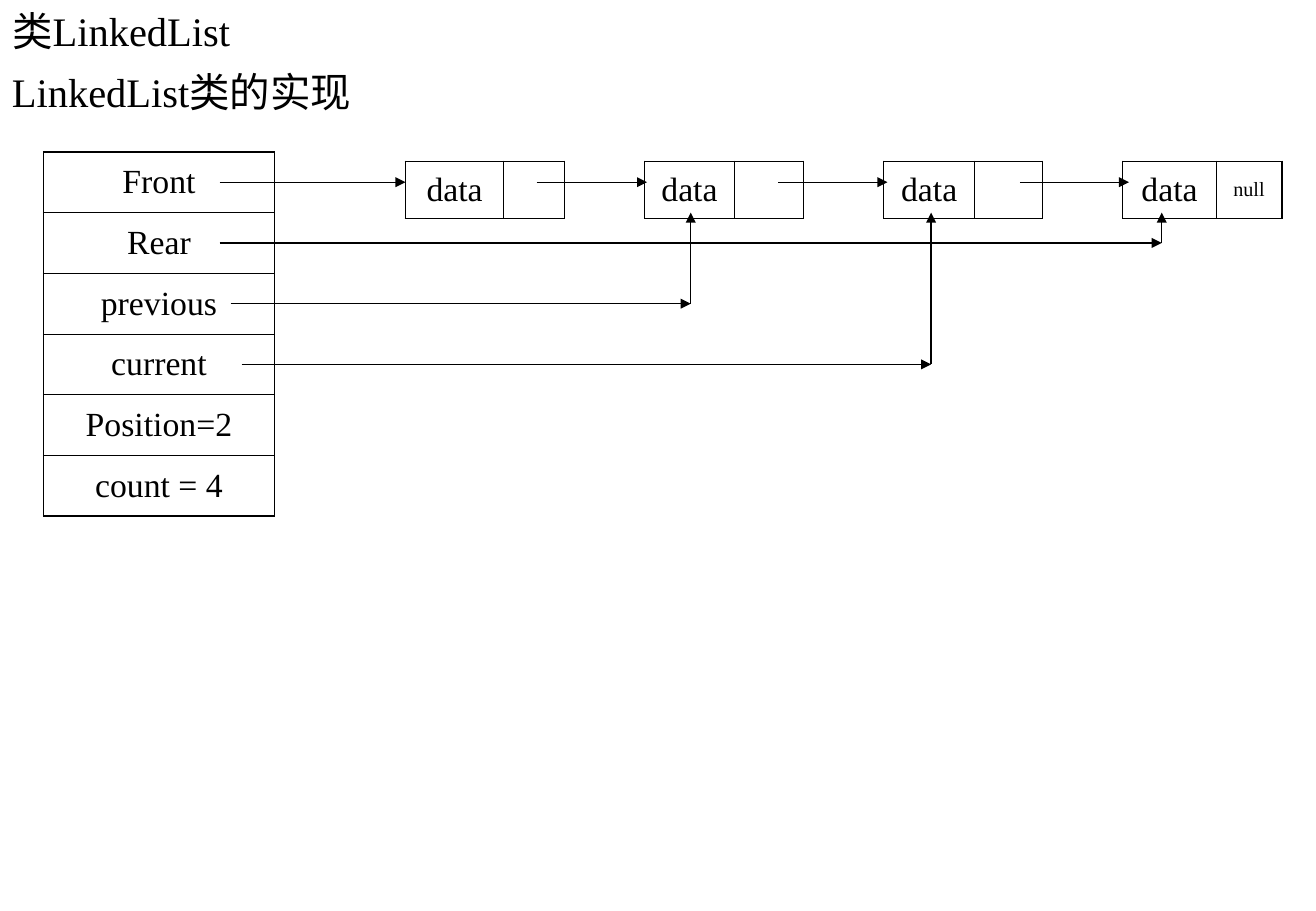
from dataclasses import dataclass

from lxml import etree
from pptx import Presentation
from pptx.dml.color import RGBColor
from pptx.enum import shapes, text
from pptx.oxml import ns
from pptx.util import Inches, Pt

FONT = "Times New Roman"
COLORS = {"ink": "000000"}
THICK, THIN, NONE = 1.08, 0.45, 0.0


@dataclass(frozen=True)
class Arrow:
    x1: float
    y1: float
    x2: float
    y2: float


@dataclass(frozen=True)
class CellSpec:
    words: str = ""
    size: float = 20
    left: float = THIN
    right: float = THIN
    top: float = THICK
    bottom: float = THICK


def style(p, size: float, align) -> None:
    p.alignment = align
    p.font.name = FONT
    p.font.size = Pt(size)
    p.font.color.rgb = RGBColor.from_string(COLORS["ink"])


def write(shape, words: str, anchor) -> None:
    tf = shape.text_frame
    tf.word_wrap = True
    tf.auto_size = text.MSO_AUTO_SIZE.NONE
    tf.vertical_anchor = anchor
    tf.text = words
    style(tf.paragraphs[0], 24, text.PP_ALIGN.LEFT)


def set_borders(cell, spec: CellSpec) -> None:
    """Outline each side of the cell; a width of zero hides that side."""
    tc_pr = cell._tc.get_or_add_tcPr()
    sides = {"lnL": spec.left, "lnR": spec.right, "lnT": spec.top, "lnB": spec.bottom}
    for i, (tag, width) in enumerate(sides.items()):
        ln = etree.Element(ns.qn(f"a:{tag}"), w=str(int(Pt(width))))
        tc_pr.insert(i, ln)
        if width:
            fill = etree.SubElement(ln, ns.qn("a:solidFill"))
            etree.SubElement(fill, ns.qn("a:srgbClr"), val=COLORS["ink"])
        else:
            etree.SubElement(ln, ns.qn("a:noFill"))


def add_grid(s, left: float, top: float, widths: list[float], height: float,
             rows: list[list[CellSpec]]) -> None:
    table = s.shapes.add_table(len(rows), len(widths), Inches(left), Inches(top),
                               Inches(sum(widths)), Inches(height * len(rows))).table
    table.first_row = table.horz_banding = False
    for column, width in zip(table.columns, widths):
        column.width = Inches(width)
    for r, specs in enumerate(rows):
        table.rows[r].height = Inches(height)
        for c, spec in enumerate(specs):
            cell = table.cell(r, c)
            cell.fill.background()
            set_borders(cell, spec)
            cell.vertical_anchor = text.MSO_ANCHOR.MIDDLE
            cell.text = spec.words
            style(cell.text_frame.paragraphs[0], spec.size, text.PP_ALIGN.CENTER)


def add_arrow(s, a: Arrow) -> None:
    line = s.shapes.add_connector(shapes.MSO_CONNECTOR.STRAIGHT, Inches(a.x1),
                                  Inches(a.y1), Inches(a.x2), Inches(a.y2))
    line.line.width = Pt(0.75)
    line.line.color.rgb = RGBColor.from_string(COLORS["ink"])
    etree.SubElement(line.line._get_or_add_ln(), ns.qn("a:tailEnd"), type="triangle")
    etree.SubElement(line._element.spPr, ns.qn("a:effectLst"))


def add_fields(s) -> None:
    names = ["Front", "Rear", "previous", "current", "Position=2", "count = 4"]
    last = len(names) - 1
    rows = [[CellSpec(name, left=THICK, right=THICK,
                      top=THICK if i == 0 else THIN,
                      bottom=THICK if i == last else THIN)]
            for i, name in enumerate(names)]
    add_grid(s, 0.36, 1.25, [1.9], 0.5, rows)


def add_nodes(s) -> None:
    gap = CellSpec(top=NONE, bottom=NONE)
    node = [CellSpec("data"), CellSpec(), gap]
    cells = [CellSpec("data", left=THICK), CellSpec(), gap, *node, *node,
             CellSpec("data"), CellSpec("null", size=12, right=THICK)]
    widths = [0.81, 0.5, 0.66, 0.74, 0.57, 0.66, 0.75, 0.56, 0.66, 0.77, 0.54]
    add_grid(s, 3.34, 1.33, widths, 0.47, [cells])


def add_links(s) -> None:
    next_links = [(1.81, 3.34), (4.42, 5.33), (6.41, 7.31), (8.4, 9.3)]
    for start, end in next_links:
        add_arrow(s, Arrow(start, 1.5, end, 1.5))
    field_links = [(1.81, 2, 9.57), (1.9, 2.5, 5.69), (1.99, 3, 7.67)]
    for start, y, node_x in field_links:
        add_arrow(s, Arrow(start, y, node_x, y))
        add_arrow(s, Arrow(node_x, y, node_x, 1.75))


def main() -> None:
    prs = Presentation()
    prs.slide_width, prs.slide_height = Inches(10.84), Inches(7.5)
    s = prs.slides.add_slide(prs.slide_layouts[5])

    title = s.shapes.title
    title.left, title.top = Inches(0), Inches(0)
    title.width, title.height = Inches(9.21), Inches(0.5)
    write(title, "类LinkedList", text.MSO_ANCHOR.MIDDLE)

    body = s.shapes.add_textbox(Inches(0), Inches(0.5), Inches(10.56), Inches(6.75))
    write(body, "LinkedList类的实现", text.MSO_ANCHOR.TOP)

    add_fields(s)
    add_nodes(s)
    add_links(s)
    prs.save("out.pptx")


if __name__ == "__main__":
    main()
